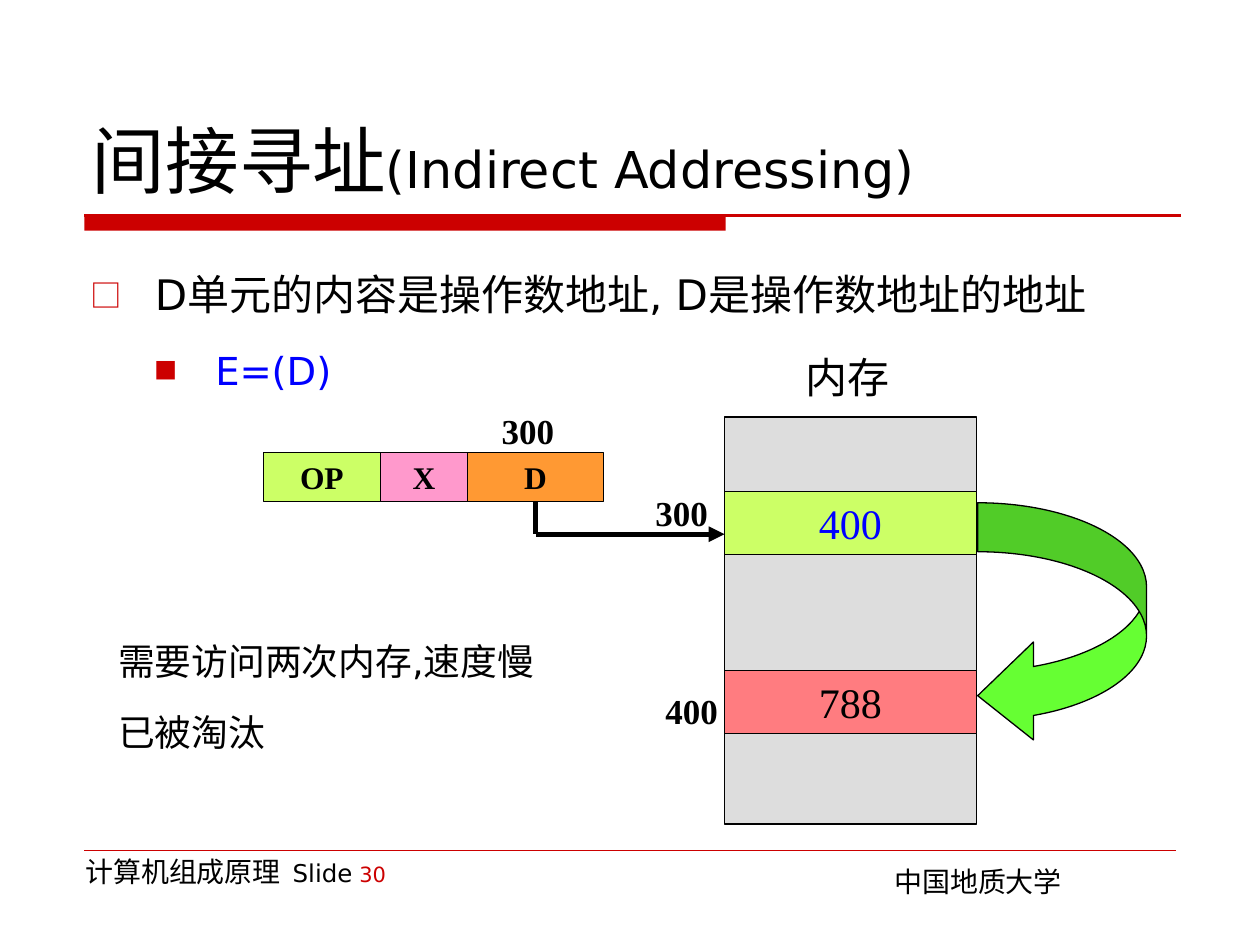
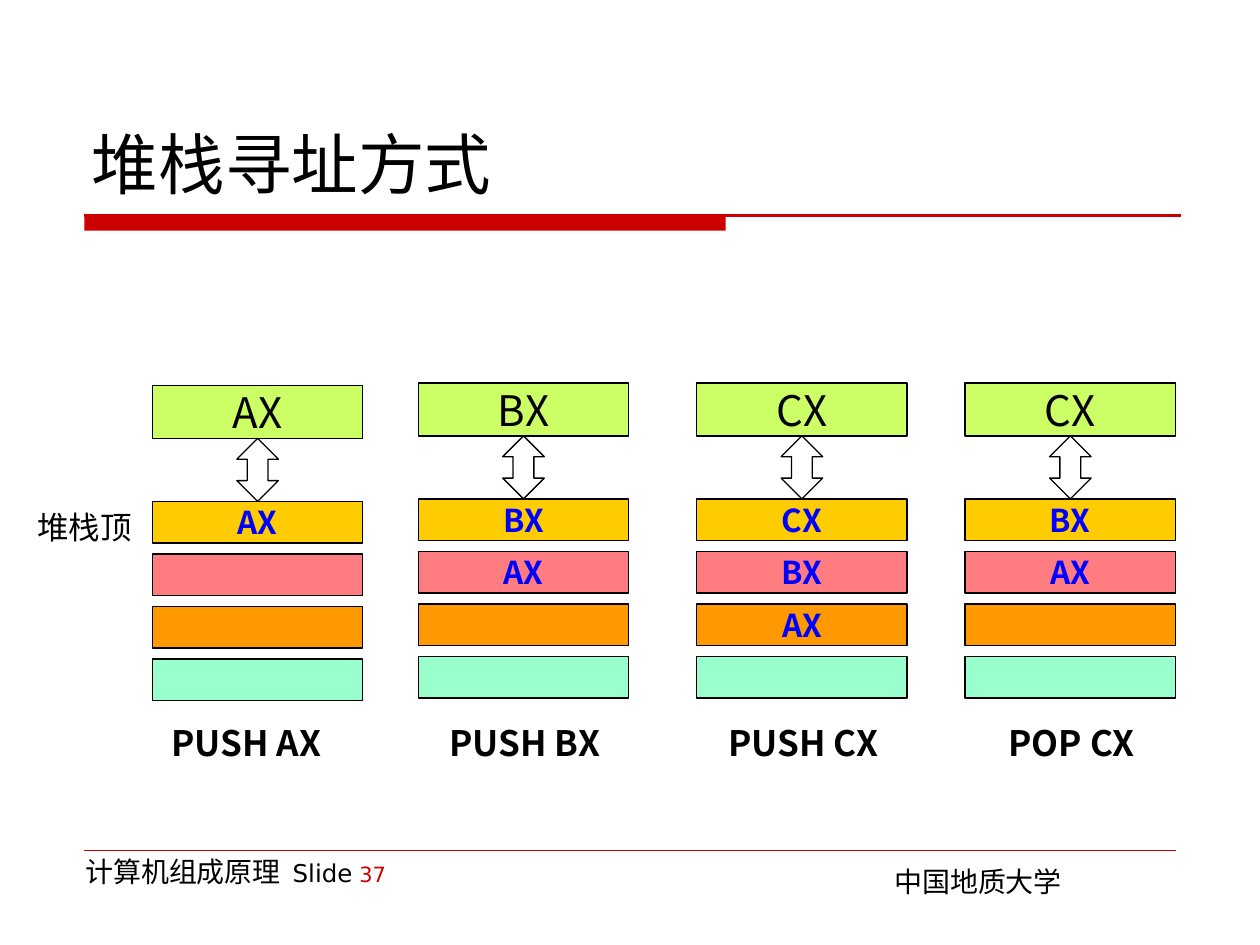
from lxml.etree import SubElement
from pptx import Presentation
from pptx.dml.color import RGBColor
from pptx.enum.shapes import MSO_CONNECTOR as CONNECTOR, MSO_SHAPE as SHAPE
from pptx.enum.text import MSO_ANCHOR as ANCHOR, MSO_AUTO_SIZE as AUTO_SIZE, PP_ALIGN as ALIGN
from pptx.oxml.ns import qn
from pptx.util import Inches, Pt

BLACK, RED, BLUE, GREY = "000000", "CC0000", "0000FF", "DDDDDD"
LIME, PINK, SALMON = "CCFF66", "FF99CC", "FF7C80"
SANS, CJK, SERIF = "DejaVu Sans", "Noto Sans CJK JP", "Times New Roman"


def style(font, size, face, color=BLACK, bold=False):
    font.size, font.name, font.bold = Pt(size), face, bold
    font.color.rgb = RGBColor.from_string(color)
    SubElement(font._rPr, qn("a:ea"), typeface=CJK)


def add(slide, kind, left, top, width, height, fill=None, text="", size=18, face=SERIF,
        color=BLACK, bold=False, align=ALIGN.CENTER, wrap=False, line=BLACK, weight=0.75):
    box = [Inches(n) for n in (left, top, width, height)]
    if kind is None:
        item = slide.shapes.add_textbox(*box)
    elif kind == "line":
        item = slide.shapes.add_connector(CONNECTOR.STRAIGHT, box[0], box[1],
                                          box[0] + box[2], box[1] + box[3])
        SubElement(item._element.spPr, qn("a:effectLst"))
    else:
        item = slide.shapes.add_shape(kind, *box)
        item.shadow.inherit = False
        if fill:
            item.fill.solid()
            item.fill.fore_color.rgb = RGBColor.from_string(fill)
        else:
            item.fill.background()
    if kind is not None:
        if line:
            item.line.color.rgb = RGBColor.from_string(line)
            item.line.width = Pt(weight)
        else:
            item.line.fill.background()
    if kind != "line":
        frame = item.text_frame
        frame.word_wrap = wrap
        if kind is not None:
            frame.vertical_anchor = ANCHOR.MIDDLE
        if text:
            paragraph = frame.paragraphs[0]
            paragraph.text, paragraph.alignment = text, align
            style(paragraph.font, size, face, color, bold)
    return item


deck = Presentation()
deck.slide_width, deck.slide_height = Inches(10), Inches(7.5)

pages = [
    ("30", [("间接寻址", 42, CJK), ("(Indirect Addressing)", 29, SANS)]),
    ("37", [("堆栈寻址方式", 38, SANS)]),
]
slides = []
for number, title_parts in pages:
    slide = deck.slides.add_slide(deck.slide_layouts[5])
    slides.append(slide)
    add(slide, SHAPE.RECTANGLE, 0.67, 1.71, 5.09, 0.12, RED, line=None)
    add(slide, "line", 0.67, 1.71, 8.7, 0, line=RED, weight=1.25)
    add(slide, "line", 0.67, 6.75, 8.66, 0, line=RED, weight=0.25)
    add(slide, None, 7, 6.81, 3, 0.52, text="中国地质大学", size=16, face=SANS,
        align=ALIGN.LEFT, wrap=True)
    footer = add(slide, None, 0.58, 6.73, 3, 0.52, wrap=True).text_frame.paragraphs[0]
    for text, size, color in [("计算机组成原理 ", 16, BLACK), (" Slide", 14, BLACK),
                              (" ", 12, BLACK), (number, 12, RED)]:
        run = footer.add_run()
        run.text = text
        style(run.font, size, SANS, color)

    title = slide.shapes.title
    title.left, title.top = Inches(0.63), Inches(0.33)
    title.width, title.height = Inches(8.75), Inches(1.33)
    title.text_frame.vertical_anchor = ANCHOR.BOTTOM
    title.text_frame.auto_size = AUTO_SIZE.NONE
    heading = title.text_frame.paragraphs[0]
    heading.alignment = ALIGN.LEFT
    for text, size, face in title_parts:
        run = heading.add_run()
        run.text = text
        style(run.font, size, face)

indirect, stack = slides

points = add(indirect, None, 0.62, 1.92, 8.75, 2.25, wrap=True).text_frame
for index, (text, size, color, bullet, scale, indent, hang) in enumerate([
        ("D单元的内容是操作数地址, D是操作数地址的地址", 24, BLACK, "□", 75, 0.51, 0.51),
        ("E=(D)", 22, BLUE, "■", 60, 0.99, 0.48)]):
    point = points.add_paragraph() if index else points.paragraphs[0]
    point.text, point.level, point.line_spacing = text, index, 1.4
    if index:
        point.space_before = Pt(5.5)
    props = point._p.get_or_add_pPr()
    props.set("marL", str(Inches(indent)))
    props.set("indent", str(-Inches(hang)))
    SubElement(SubElement(props, qn("a:buClr")), qn("a:srgbClr"), val=RED)
    SubElement(props, qn("a:buSzPct"), val=str(scale * 1000))
    SubElement(props, qn("a:buFont"), typeface=CJK)
    SubElement(props, qn("a:buChar"), char=bullet)
    style(point.font, size, SANS, color)

for top, height, fill, value, color in [
        (3.31, 0.59, GREY, "", BLACK), (3.9, 0.5, LIME, "400", BLUE),
        (4.4, 0.92, GREY, "", BLACK), (5.32, 0.5, SALMON, "788", BLACK),
        (5.82, 0.72, GREY, "", BLACK)]:
    add(indirect, SHAPE.RECTANGLE, 5.75, top, 2, height, fill, value, 24, color=color)

for left, width, fill, field in [(2.09, 0.93, LIME, "OP"), (3.02, 0.69, PINK, "X"),
                                 (3.71, 1.08, "FF9933", "D")]:
    address_field = add(indirect, SHAPE.RECTANGLE, left, 3.59, width, 0.39, fill, field,
                        bold=True)

drop_line = add(indirect, "line", 4.25, 3.98, 0, 0.26, weight=3)
drop_line.begin_connect(address_field, 2)
pointer = add(indirect, "line", 4.25, 4.24, 1.5, 0, weight=3)
SubElement(pointer.line._get_or_add_ln(), qn("a:tailEnd"), type="triangle")

lookup = add(indirect, SHAPE.CURVED_LEFT_ARROW, 7.76, 3.99, 1.34, 1.92, "66FF33")
for index, ratio in enumerate([0.29, 0.58, 0.33]):
    lookup.adjustments[index] = ratio

for left, top, address in [(3.86, 3.2, "300"), (5.08, 3.85, "300"), (5.16, 5.42, "400")]:
    add(indirect, None, left, top, 0.66, 0.44, text=address, size=20, bold=True)
add(indirect, None, 6.13, 2.74, 1.2, 0.5, text="内存", size=24)

remarks = add(indirect, None, 0.84, 4.88, 4.33, 1.42, wrap=True).text_frame
for index, text in enumerate(["需要访问两次内存,速度慢", "已被淘汰"]):
    remark = remarks.add_paragraph() if index else remarks.paragraphs[0]
    remark.text, remark.line_spacing = text, 1.4
    if index:
        remark.space_before = Pt(5.2)
    style(remark.font, 21, SANS)

slot_fills = ["FFCC00", SALMON, "FF9900", "99FFCC"]
for left, top, caption_left, register, slots, caption in [
        (1.21, 3.06, 1.12, "AX", ["AX", "", "", ""], "PUSH AX"),
        (3.32, 3.04, 3.33, "BX", ["BX", "AX", "", ""], "PUSH BX"),
        (5.53, 3.04, 5.54, "CX", ["CX", "BX", "AX", ""], "PUSH CX"),
        (7.66, 3.04, 7.67, "CX", ["BX", "AX", "", ""], "POP CX")]:
    add(stack, SHAPE.RECTANGLE, left, top, 1.67, 0.42, LIME, register, 24, CJK)
    for row, (fill, value) in enumerate(zip(slot_fills, slots)):
        add(stack, SHAPE.RECTANGLE, left, top + 0.92 + row * 1.25 / 3, 1.67, 0.33, fill,
            value, 18, CJK, BLUE, True)
    transfer = add(stack, SHAPE.UP_DOWN_ARROW, left + 0.67, top + 0.42, 0.33, 0.5)
    transfer.adjustments[0], transfer.adjustments[1] = 0.3, 0.5
    add(stack, None, caption_left, 5.68, 1.67, 0.44, text=caption, size=20, face=CJK,
        bold=True)
add(stack, None, 0.14, 3.98, 1.06, 0.4, text="堆栈顶", wrap=True)

deck.save("out.pptx")
